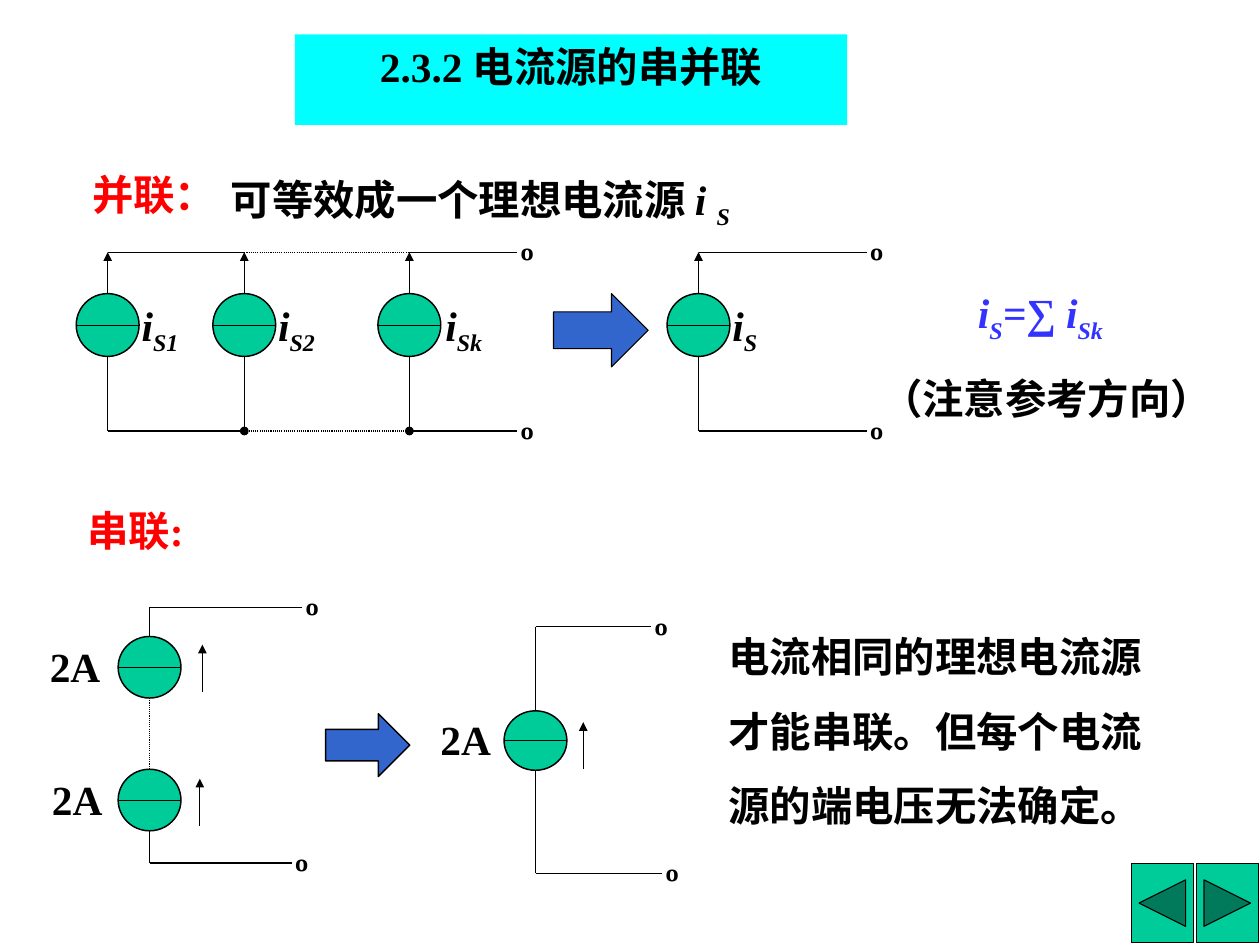
from lxml import etree
from pptx import Presentation
from pptx.dml.color import RGBColor
from pptx.enum.dml import MSO_LINE
from pptx.enum.shapes import MSO_CONNECTOR, MSO_SHAPE
from pptx.enum.text import MSO_ANCHOR, MSO_AUTO_SIZE, PP_ALIGN
from pptx.oxml.ns import qn
from pptx.util import Cm, Pt

STRAIGHT = MSO_CONNECTOR.STRAIGHT
DOTTED = MSO_LINE.ROUND_DOT
OVAL = MSO_SHAPE.OVAL
RIGHT_ARROW = MSO_SHAPE.RIGHT_ARROW
BACK_BUTTON = MSO_SHAPE.ACTION_BUTTON_BACK_OR_PREVIOUS
NEXT_BUTTON = MSO_SHAPE.ACTION_BUTTON_FORWARD_OR_NEXT
TOP, MIDDLE = MSO_ANCHOR.TOP, MSO_ANCHOR.MIDDLE
LEFT, CENTER = PP_ALIGN.LEFT, PP_ALIGN.CENTER
FIT_SHAPE = MSO_AUTO_SIZE.SHAPE_TO_FIT_TEXT

FONT = "Times New Roman"
COLORS = {
    "black": "000000",
    "red": "FF0000",
    "formula": "3333FF",
    "title": "00FFFF",
    "source": "00CC99",
    "arrow": "3366CC",
}
DIAMETER = 1.5
TEXT_HEIGHT = 1.5
PARALLEL_TOP, PARALLEL_MIDDLE, PARALLEL_BOTTOM = 6.02, 7.76, 10.29


def color(name):
    return RGBColor.from_string(COLORS[name])


def write_text(shape, runs, color_name="black", align=LEFT, anchor=TOP, wrap=True, spacing=1):
    frame = shape.text_frame
    frame.word_wrap = wrap
    frame.auto_size = FIT_SHAPE
    frame.vertical_anchor = anchor
    frame.margin_left = frame.margin_right = Cm(0.3)
    frame.margin_top = frame.margin_bottom = Cm(0.15)
    paragraph = frame.paragraphs[0]
    paragraph.alignment = align
    paragraph.line_spacing = spacing
    for text, style in runs:
        run = paragraph.add_run()
        run.text = text
        run.font.name = FONT
        run.font.size = Pt(28)
        run.font.bold = True
        run.font.italic = "i" in style
        run.font.color.rgb = color(color_name)
        if "sub" in style:
            run.font._element.set("baseline", "-25000")


def add_text(slide, left, top, width, runs, **options):
    box = slide.shapes.add_textbox(Cm(left), Cm(top), Cm(width), Cm(TEXT_HEIGHT))
    write_text(box, runs, **options)


def add_block(slide, kind, left, top, width, height, fill, line=0.75):
    shape = slide.shapes.add_shape(kind, Cm(left), Cm(top), Cm(width), Cm(height))
    shape.shadow.inherit = False
    shape.fill.solid()
    shape.fill.fore_color.rgb = color(fill)
    shape.line.color.rgb = color("black")
    shape.line.width = Pt(line)
    return shape


def add_wire(slide, x1, y1, x2, y2, end=None, width=0.75, dotted=False):
    wire = slide.shapes.add_connector(STRAIGHT, Cm(x1), Cm(y1), Cm(x2), Cm(y2))
    wire.line.color.rgb = color("black")
    wire.line.width = Pt(width)
    if dotted:
        wire.line.dash_style = DOTTED
    if end:
        etree.SubElement(wire.line._get_or_add_ln(), qn("a:tailEnd"), type=end)
    etree.SubElement(wire._element.spPr, qn("a:effectLst"))


def add_source(slide, x, y, height=DIAMETER):
    left = x - DIAMETER / 2
    add_block(slide, OVAL, left, y - height / 2, DIAMETER, height, "source", 1)
    add_wire(slide, left, y, left + DIAMETER, y)


def add_terminal(slide, x, y):
    add_text(slide, x - 0.22, y - 0.56, 0.61, [("º", "")], align=CENTER, anchor=MIDDLE)


def add_parallel_source(slide, x, subscript, label_offset=0.51, bottom_end=None):
    radius = DIAMETER / 2
    add_source(slide, x, PARALLEL_MIDDLE)
    add_wire(slide, x, PARALLEL_MIDDLE + radius, x, PARALLEL_BOTTOM, bottom_end)
    add_wire(slide, x, PARALLEL_MIDDLE - radius, x, PARALLEL_TOP, "triangle")
    add_text(slide, x + label_offset, PARALLEL_MIDDLE - radius, 2.2,
             [("i", "i"), (subscript, "i sub")])


def add_parallel_circuits(slide):
    first, second, last, equivalent = 2.57, 5.83, 9.77, 16.67
    add_parallel_source(slide, first, "S1")
    add_parallel_source(slide, second, "S2", bottom_end="oval")
    add_parallel_source(slide, last, "Sk", 0.56, "oval")
    add_parallel_source(slide, equivalent, "S")
    for y in (PARALLEL_TOP, PARALLEL_BOTTOM):
        add_wire(slide, first, y, second, y)
        add_wire(slide, second, y, last, y, dotted=True)
        for start, end in ((last, 12.34), (equivalent, 20.68)):
            add_wire(slide, start, y, end, y)
            add_terminal(slide, end, y)
    add_block(slide, RIGHT_ARROW, 13.21, 7.01, 2.26, 1.75, "arrow")


def add_series_circuit(slide, x, top, bottom, sources, top_end, bottom_end, height):
    first, last = sources[0][0], sources[-1][0]
    add_wire(slide, x, top, x, first - height / 2, width=1)
    add_wire(slide, x, last + height / 2, x, bottom)
    if last > first:
        add_wire(slide, x, first + height / 2, x, last - height / 2, dotted=True)
    for end, y in ((top_end, top), (bottom_end, bottom)):
        add_wire(slide, x, y, end, y, width=1)
        add_terminal(slide, end, y)
    for y, label_left, arrow_x, arrow_top in sources:
        add_source(slide, x, y, height)
        add_text(slide, label_left, y - 0.77, 2.3, [("2A", "")])
        add_wire(slide, arrow_x, arrow_top + 1.12, arrow_x, arrow_top, "triangle")


def add_title(slide):
    title = slide.shapes.title
    title.left, title.top, title.width, title.height = Cm(7.04), Cm(0.82), Cm(13.18), Cm(1.5)
    title.fill.solid()
    title.fill.fore_color.rgb = color("title")
    write_text(title, [("2.3.2 电流源的串并联", "")], align=CENTER)


def main():
    presentation = Presentation()
    presentation.slide_width, presentation.slide_height = Cm(30.07), Cm(22.56)
    slide = presentation.slides.add_slide(presentation.slide_layouts[5])
    add_title(slide)

    add_text(slide, 1.9, 3.89, 5.05, [("并联：", "")], color_name="red")
    add_text(slide, 5.21, 4.01, 16.92,
             [("可等效成一个理想电流源 ", ""), ("i ", "i"), ("S", "i sub")])
    add_parallel_circuits(slide)
    add_text(slide, 23.04, 6.71, 3.91,
             [("i", "i"), ("S", "i sub"), ("=", "i"), ("∑ ", ""), ("i", "i"), ("Sk", "i sub")],
             color_name="formula", wrap=False)
    add_text(slide, 20.73, 8.76, 8.53, [("（注意参考方向）", "")], wrap=False)

    add_text(slide, 1.78, 11.91, 2.92, [("串联:", "")], color_name="red", wrap=False)
    add_series_circuit(slide, 3.57, 14.5, 20.6,
                       [(15.93, 0.89, 4.83, 15.39), (19.1, 0.94, 4.77, 18.59)],
                       7.21, 6.96, 1.47)
    add_block(slide, RIGHT_ARROW, 7.77, 17.04, 2.01, 1.5, "arrow", 1)
    add_series_circuit(slide, 12.78, 14.96, 20.85,
                       [(17.68, 10.21, 13.92, 17.24)], 15.54, 15.8, 1.42)
    add_text(slide, 17.09, 14.33, 11.4,
             [("电流相同的理想电流源才能串联。但每个电流源的端电压无法确定。", "")], spacing=1.5)

    for kind, left in ((BACK_BUTTON, 27), (NEXT_BUTTON, 28.55)):
        add_block(slide, kind, left, 20.62, 1.48, 1.88, "source")
    presentation.save("out.pptx")


if __name__ == "__main__":
    main()
